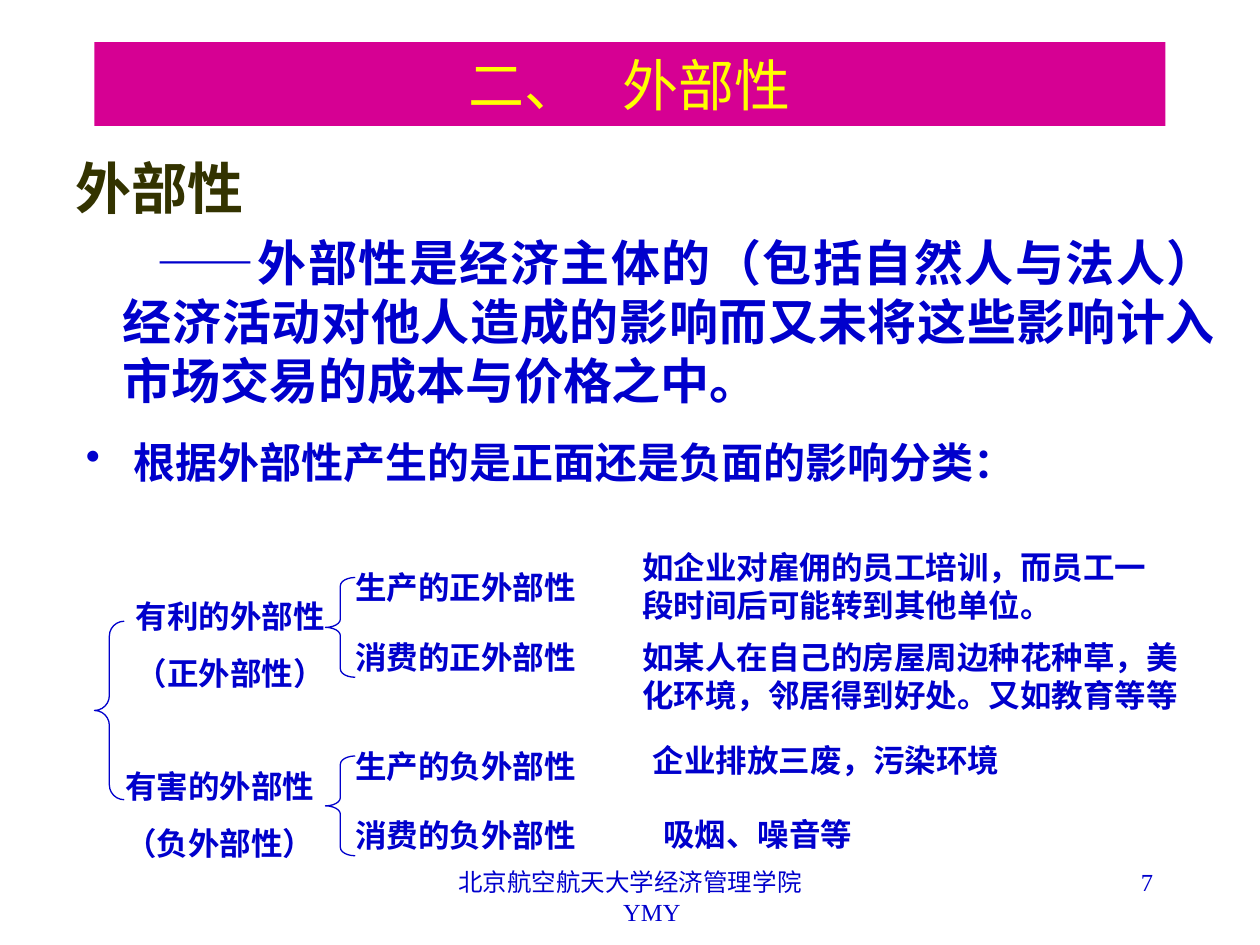
from lxml import etree
from pptx import Presentation
from pptx.dml.color import RGBColor
from pptx.enum import shapes, text
from pptx.oxml.ns import qn
from pptx.util import Pt

BLUE, OLIVE, MAGENTA, YELLOW = "0000CC", "333300", "D60093", "FFFF00"
SANS, CJK, SERIF = "Arial", "Noto Sans CJK SC", "Times New Roman"
ALIGN = text.PP_ALIGN

TITLE = [("二、", SERIF, 32), ("　", SERIF, 24), ("外部性", CJK, 32)]
HEADING = "外部性"
DEFINITION = [
    ("——", SANS, 28),
    ("外部性是经济主体的（包括自然人与法人）经济活动对他人造成的影响"
     "而又未将这些影响计入市场交易的成本与价格之中。", CJK, 28),
]
CLASSIFICATION = [("根据", SERIF, 24), ("外部性", CJK, 24),
                  ("产生的是正面还是负面的影响分类：", SERIF, 24)]
# Each kind: (left, top), lines
KINDS = [
    ((70.5, 337.5), ["有利的外部性", "（正外部性）"]),
    ((64.5, 434.5), ["有害的外部性", "（负外部性）"]),
]
# Each branch: top, name, (left, top, width, height) of example, example
BRANCHES = [
    (321, "生产的正外部性", (360, 309.5, 312, 50),
     "如企业对雇佣的员工培训，而员工一段时间后可能转到其他单位。"),
    (361, "消费的正外部性", (360, 361, 324, 50),
     "如某人在自己的房屋周边种花种草，美化环境，邻居得到好处。又如教育等等"),
    (423.5, "生产的负外部性", (366, 420, 278, 29), "企业排放三废，污染环境"),
    (463, "消费的负外部性", (372, 462, 135, 29), "吸烟、噪音等"),
]
# Each brace: left, top, height
BRACES = [(54, 355, 102), (186, 330, 57), (186, 432, 57)]
BRACE_WIDTH = 17

deck = Presentation()
deck.slide_width, deck.slide_height = Pt(720), Pt(540)
page = deck.slides.add_slide(deck.slide_layouts[6])


def color(value):
    return RGBColor.from_string(value)


def add_box(left, top, width, height):
    box = page.shapes.add_textbox(Pt(left), Pt(top), Pt(width), Pt(height))
    box.text_frame.word_wrap = True
    return box


def write(box, content, size=18, font=CJK, ink=BLUE, bold=False,
          align=ALIGN.LEFT, before=0, margin=0, indent=0, bullet=None):
    """Add one paragraph; content is a string or a list of (text, font, size)."""
    frame = box.text_frame
    para = frame.paragraphs[0] if not frame.text else frame.add_paragraph()
    para.alignment = align
    para.space_before = Pt(before)
    properties = para._p.get_or_add_pPr()
    properties.set("marL", str(Pt(margin)))
    properties.set("indent", str(Pt(indent)))
    if bullet:
        etree.SubElement(properties, qn("a:buChar")).set("char", bullet)
    runs = [(content, font, size)] if isinstance(content, str) else content
    for words, face, points in runs:
        span = para.add_run()
        span.text = words
        span.font.name = face
        span.font.size = Pt(points)
        span.font.bold = bold
        span.font.color.rgb = color(ink)
        east_asian = etree.SubElement(span._r.get_or_add_rPr(), qn("a:ea"))
        east_asian.set("typeface", CJK)


def add_brace(left, top, height):
    brace = page.shapes.add_shape(shapes.MSO_SHAPE.LEFT_BRACE, Pt(left), Pt(top),
                                  Pt(BRACE_WIDTH), Pt(height))
    brace.adjustments[0] = height / 12 / BRACE_WIDTH
    brace.shadow.inherit = False
    brace.fill.background()
    brace.line.color.rgb = color(BLUE)
    brace.line.width = Pt(0.75)


banner = page.shapes.add_shape(shapes.MSO_SHAPE.RECTANGLE,
                               Pt(54), Pt(24), Pt(612), Pt(48))
banner.shadow.inherit = False
banner.fill.solid()
banner.fill.fore_color.rgb = color(MAGENTA)
banner.line.fill.background()
banner.text_frame.vertical_anchor = text.MSO_ANCHOR.MIDDLE
write(banner, TITLE, ink=YELLOW, align=ALIGN.CENTER)

body = add_box(36, 84, 666, 150)
write(body, HEADING, size=32, font=SERIF, ink=OLIVE, bold=True, align=ALIGN.JUSTIFY)
write(body, DEFINITION, bold=True, align=ALIGN.JUSTIFY, before=7,
      margin=27, indent=19.5)

question = add_box(42, 246, 648, 46)
write(question, CLASSIFICATION, bold=True, margin=27, indent=-27, bullet="•")

for (left, top), lines in KINDS:
    kind = add_box(left, top, 170, 62)
    for number, line in enumerate(lines):
        write(kind, line, bold=True, before=11.2 if number else 0)

for top, name, place, example in BRANCHES:
    write(add_box(196, top, 221, 29), name, font=SANS, bold=True)
    write(add_box(*place), example, font=SANS, bold=True)

for brace_place in BRACES:
    add_brace(*brace_place)

footer = add_box(246, 492, 228, 36)
write(footer, "北京航空航天大学经济管理学院", size=14, font=SERIF, align=ALIGN.CENTER)
write(footer, "YMY", size=14, font=SERIF, align=ALIGN.CENTER, margin=25)
write(add_box(516, 492, 150, 36), "7", size=14, font=SERIF, align=ALIGN.RIGHT)

deck.save("out.pptx")
